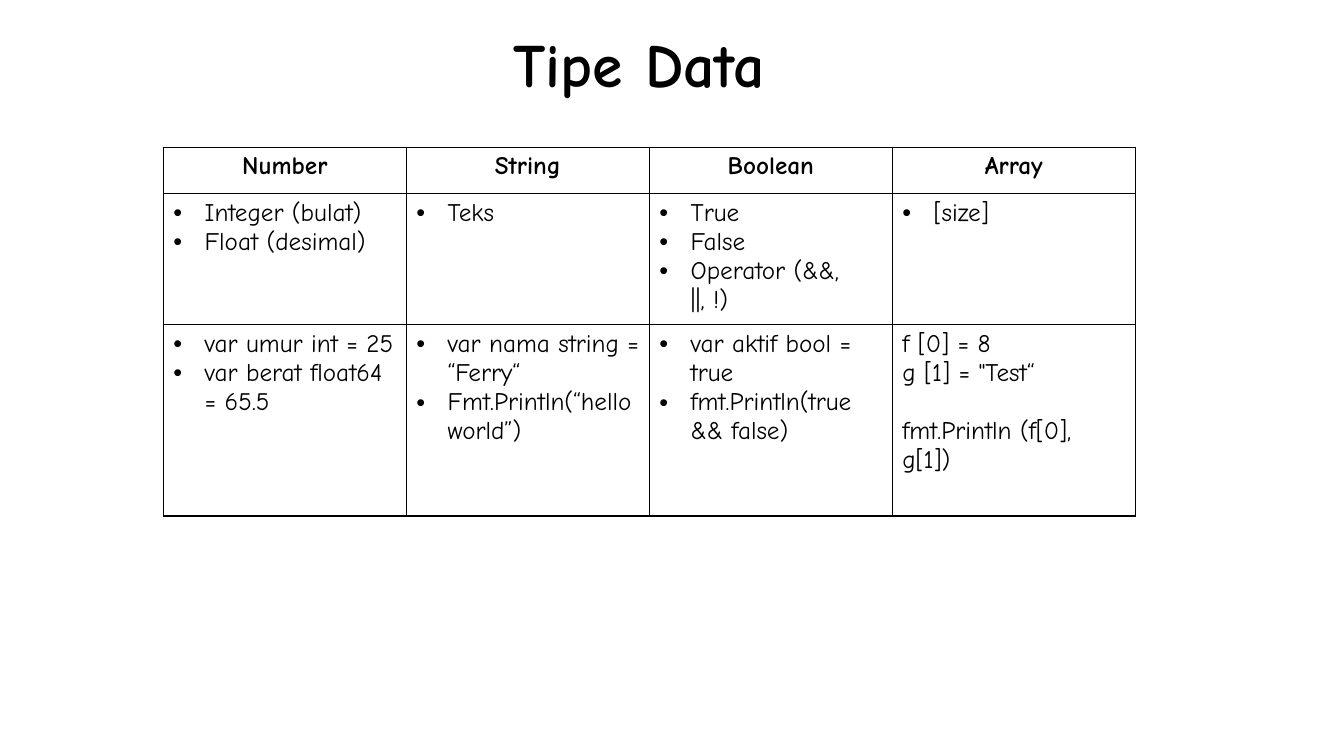
from pptx import Presentation
from pptx.dml.color import RGBColor
from pptx.enum.text import MSO_ANCHOR, MSO_AUTO_SIZE, PP_ALIGN
from pptx.oxml.ns import qn
from pptx.util import Inches, Pt
from lxml.etree import SubElement, Element

BLACK = RGBColor(0x00, 0x00, 0x00)
FONT = "Comic Neue"
COLUMN_WIDTH = 2.41
ROW_HEIGHTS = [0.46, 1.3, 1.9]

DATA_TYPES = {
    "Number": (["Integer (bulat)", "Float (desimal)"],
               ["var umur int = 25", "var berat float64 = 65.5"]),
    "String": (["Teks"],
               ["var nama string = “Ferry“", "Fmt.Println(“hello world”)"]),
    "Boolean": (["True", "False", "Operator (&&, ||, !)"],
                ["var aktif bool = true", "fmt.Println(true && false)"]),
    "Array": (["[size]"],
              ["f [0] = 8", "g [1] = \"Test“", "fmt.Println (f[0], g[1])"]),
}


def write(paragraph, text, size=18, bold=False, align=PP_ALIGN.LEFT, bullet=False, before=0):
    run = paragraph.add_run()
    run.text = text
    run.font.name = FONT
    run.font.size = Pt(size)
    run.font.bold = bold
    run.font.color.rgb = BLACK
    paragraph.alignment = align
    paragraph.space_before = Pt(before)
    if bullet:
        properties = paragraph._p.get_or_add_pPr()
        properties.set("marL", str(Inches(0.31)))
        properties.set("indent", str(-Inches(0.31)))
        SubElement(properties, qn("a:buFont"), typeface="Arial")
        SubElement(properties, qn("a:buChar"), char="•")


class TypeSlide:
    def __init__(self, presentation):
        self.border_width = Pt(1)
        self.slide = presentation.slides.add_slide(presentation.slide_layouts[5])

    def title(self, text, left, top, width, height):
        shape = self.slide.shapes.title
        shape.left, shape.top = Inches(left), Inches(top)
        shape.width, shape.height = Inches(width), Inches(height)
        frame = shape.text_frame
        frame.auto_size = MSO_AUTO_SIZE.NONE
        frame.vertical_anchor = MSO_ANCHOR.TOP
        write(frame.paragraphs[0], text, size=44, bold=True, align=PP_ALIGN.CENTER)

    def table(self, left, top, columns):
        table = self.slide.shapes.add_table(
            len(ROW_HEIGHTS), len(columns), Inches(left), Inches(top),
            Inches(COLUMN_WIDTH * len(columns)), Inches(sum(ROW_HEIGHTS))).table
        table.first_row = table.horz_banding = False
        for row, height in zip(table.rows, ROW_HEIGHTS):
            row.height = Inches(height)
        for index, (heading, bodies) in enumerate(columns.items()):
            table.columns[index].width = Inches(COLUMN_WIDTH)
            header = self.cell(table, 0, index)
            write(header.paragraphs[0], heading, bold=True, align=PP_ALIGN.CENTER)
            for row, lines in enumerate(bodies, 1):
                frame = self.cell(table, row, index)
                plain = heading == "Array" and row == 2
                for number, line in enumerate(lines):
                    paragraph = frame.add_paragraph() if number else frame.paragraphs[0]
                    gap = 20.7 if plain and line.startswith("fmt") else 0
                    write(paragraph, line, bullet=not plain, before=gap)

    def cell(self, table, row, column):
        cell = table.cell(row, column)
        cell.fill.background()
        properties = cell._tc.get_or_add_tcPr()
        for position, side in enumerate("LRTB"):
            line = Element(qn(f"a:ln{side}"), w=str(self.border_width))
            fill = SubElement(line, qn("a:solidFill"))
            SubElement(fill, qn("a:srgbClr"), val=str(BLACK))
            properties.insert(position, line)
        return cell.text_frame


def main():
    presentation = Presentation()
    presentation.slide_width = Inches(13.33)
    presentation.slide_height = Inches(7.5)
    page = TypeSlide(presentation)
    page.title("Tipe Data", 3.67, 0.21, 5.34, 0.84)
    page.table(1.62, 1.46, DATA_TYPES)
    presentation.save("out.pptx")


if __name__ == "__main__":
    main()
